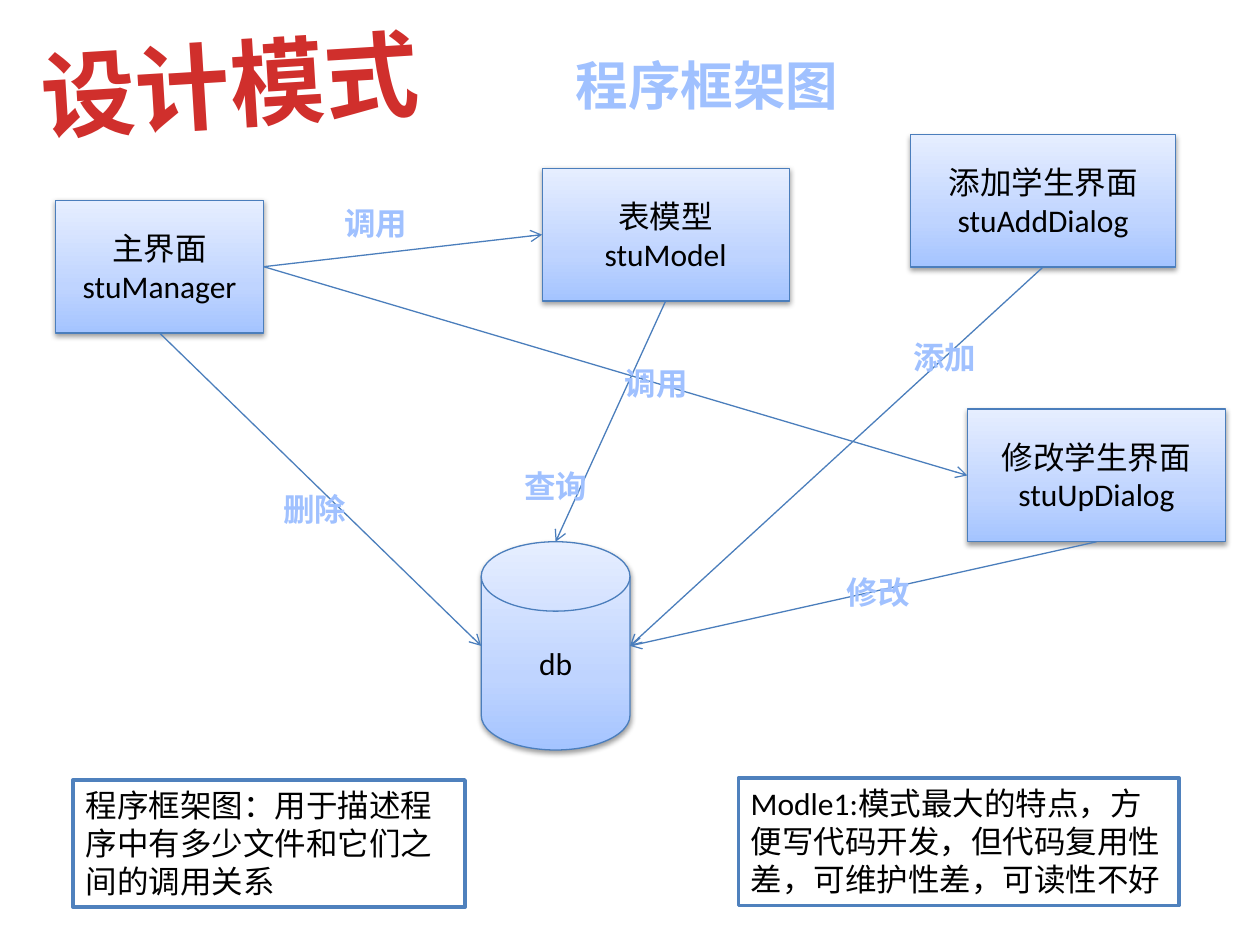
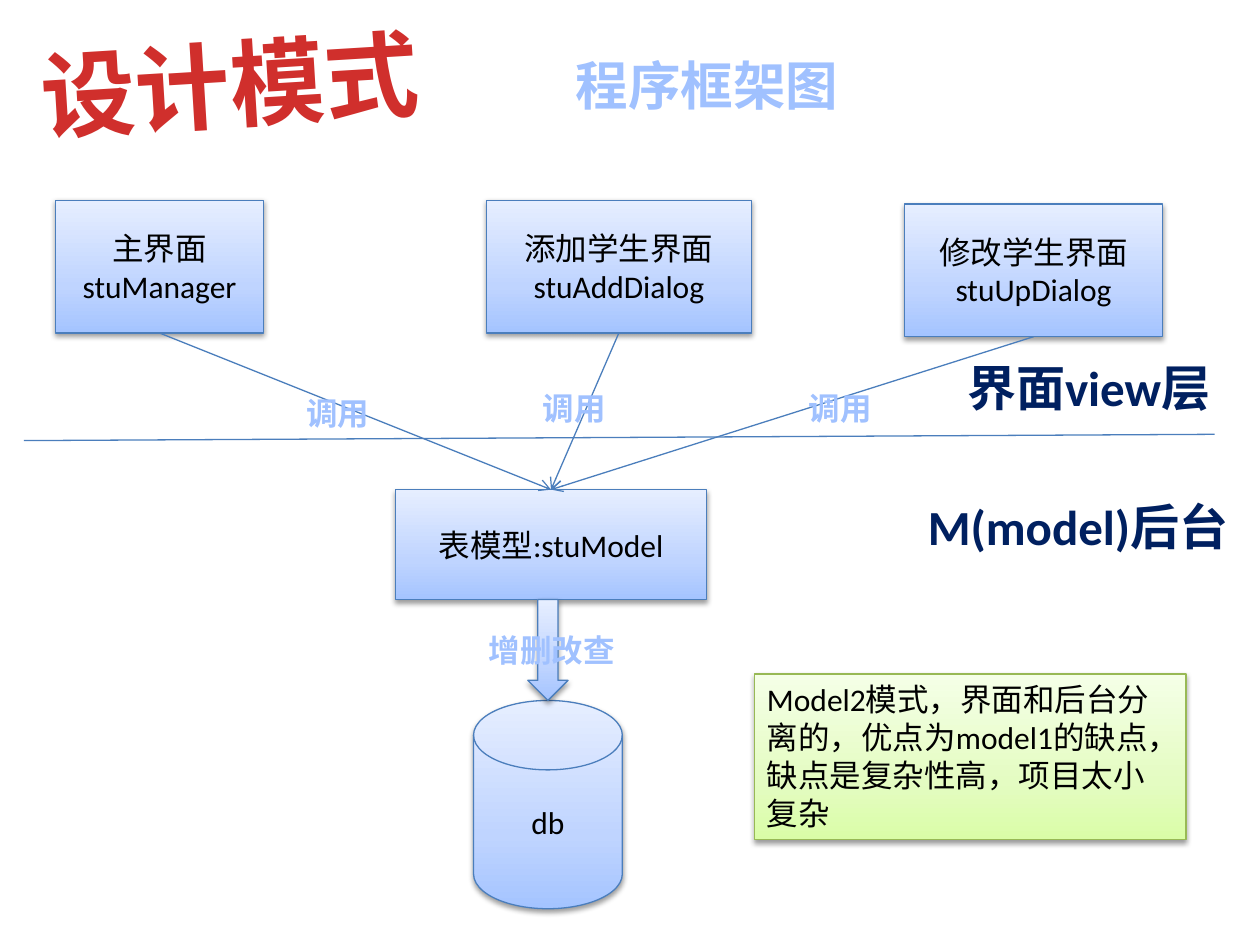
from dataclasses import dataclass

from lxml.etree import SubElement
from pptx import Presentation
from pptx.dml.color import RGBColor
from pptx.enum.shapes import MSO_CONNECTOR, MSO_SHAPE
from pptx.enum.text import MSO_ANCHOR, MSO_AUTO_SIZE, PP_ALIGN
from pptx.oxml.ns import qn
from pptx.util import Pt

FONT = "Calibri"
BLACK, WHITE, NAVY = "000000", "FFFFFF", "002060"
NODE_LINE, NOTE_LINE, GREEN_LINE = "4B7EBC", "4F81BD", "98B955"
LABEL_LINE, HALO = "467AB8", "FEFEFE"
BLUE_SHADES = [(0, "A4C4FF"), (35, "BFD4FF"), (100, "E6EEFF")]
GREEN_SHADES = [(0, "DAFDA7"), (35, "E4FCC2"), (100, "F5FFE7")]
LABEL_SHADES = [(0, "BFD3F9"), (9, "A0C1FF"), (50, "003D85"),
                (79, "A0C1FF"), (100, "BFD3F9")]
TITLE_SHADES = [(0, "FC7C7A"), (75, "D02F2C"), (100, "C70500")]
UPWARD, DOWNWARD = 270, 90
NODE_HEIGHT = 75.8
LABEL_WIDTH, LABEL_HEIGHT = 100.8, 29

Point = tuple[float, float]
Shades = list[tuple[int, str]]


@dataclass(frozen=True)
class Box:
    left: float
    top: float
    width: float
    height: float = NODE_HEIGHT

    @property
    def lengths(self) -> list[Pt]:
        return [Pt(v) for v in (self.left, self.top, self.width, self.height)]

    @property
    def top_mid(self) -> Point:
        return self.left + self.width / 2, self.top

    @property
    def bottom_mid(self) -> Point:
        return self.left + self.width / 2, self.top + self.height

    @property
    def left_mid(self) -> Point:
        return self.left, self.top + self.height / 2

    @property
    def right_mid(self) -> Point:
        return self.left + self.width, self.top + self.height / 2


@dataclass(frozen=True)
class Node:
    lines: tuple[str, ...]
    box: Box
    kind: MSO_SHAPE = MSO_SHAPE.RECTANGLE


@dataclass(frozen=True)
class Label:
    text: str
    left: float
    top: float


@dataclass(frozen=True)
class TextStyle:
    size: float
    color: str = BLACK
    shades: Shades | None = None
    bold: bool = False
    align: PP_ALIGN = PP_ALIGN.CENTER
    outline: str | None = None
    outline_width: float = 0.83


BODY = TextStyle(18)
NOTE = TextStyle(18, align=PP_ALIGN.LEFT)
LABEL = TextStyle(18, shades=LABEL_SHADES, bold=True, outline=LABEL_LINE)
SUBTITLE = TextStyle(30, shades=LABEL_SHADES, bold=True, outline=LABEL_LINE)
TITLE = TextStyle(54, shades=TITLE_SHADES, bold=True)
LAYER = TextStyle(28, NAVY, bold=True, outline=HALO, outline_width=1.5)


def rgb(color: str) -> RGBColor:
    return RGBColor.from_string(color)


def add_color(parent, color: str):
    return SubElement(parent, qn("a:srgbClr"), val=color)


def fill_gradient(fill, owner, shades: Shades, angle: int) -> None:
    fill.gradient()
    gradient = next(owner.iter(qn("a:gradFill")))
    for child in list(gradient):
        gradient.remove(child)
    stops = SubElement(gradient, qn("a:gsLst"))
    for position, color in shades:
        add_color(SubElement(stops, qn("a:gs"), pos=str(position * 1000)), color)
    SubElement(gradient, qn("a:lin"), ang=str(angle * 60000), scaled="0")


def write(frame, lines: tuple[str, ...], style: TextStyle) -> None:
    frame.word_wrap = True
    frame.text = "\n".join(lines)
    for paragraph in frame.paragraphs:
        paragraph.alignment = style.align
        font = paragraph.font
        font.name, font.size, font.bold = FONT, Pt(style.size), style.bold
        if style.shades:
            fill_gradient(font.fill, paragraph._p, style.shades, DOWNWARD)
        else:
            font.color.rgb = rgb(style.color)
        if style.outline:
            properties = next(paragraph._p.iter(qn("a:defRPr")))
            outline = SubElement(properties, qn("a:ln"),
                                 w=str(int(Pt(style.outline_width))))
            add_color(SubElement(outline, qn("a:solidFill")), style.outline)
            properties.insert(0, outline)


def add_text(slide, text: str, box: Box, style: TextStyle, rotation: float = 0) -> None:
    words = slide.shapes.add_textbox(*box.lengths)
    words.rotation = rotation
    write(words.text_frame, (text,), style)
    words.text_frame.auto_size = MSO_AUTO_SIZE.SHAPE_TO_FIT_TEXT


def add_panel(slide, box: Box, kind: MSO_SHAPE, line: str, line_width: float = 0.75,
              shades: Shades | None = None):
    panel = slide.shapes.add_shape(kind, *box.lengths)
    panel.line.color.rgb, panel.line.width = rgb(line), Pt(line_width)
    panel.shadow.inherit = False
    if shades is None:
        panel.fill.solid()
        panel.fill.fore_color.rgb = rgb(WHITE)
        return panel
    properties = panel._element.spPr
    fill_gradient(panel.fill, properties, shades, UPWARD)
    shadow = SubElement(properties.find(qn("a:effectLst")), qn("a:outerShdw"),
                        blurRad=str(int(Pt(3.1))), dist=str(int(Pt(1.6))),
                        dir="5400000", rotWithShape="0")
    SubElement(add_color(shadow, BLACK), qn("a:alpha"), val="38000")
    return panel


def add_node(slide, node: Node) -> None:
    panel = add_panel(slide, node.box, node.kind, NODE_LINE, shades=BLUE_SHADES)
    if node.lines:
        write(panel.text_frame, node.lines, BODY)
        panel.text_frame.vertical_anchor = MSO_ANCHOR.MIDDLE


def add_note(slide, text: str, box: Box, line: str, line_width: float,
             shades: Shades | None = None) -> None:
    panel = add_panel(slide, box, MSO_SHAPE.RECTANGLE, line, line_width, shades)
    write(panel.text_frame, (text,), NOTE)
    panel.text_frame.vertical_anchor = MSO_ANCHOR.TOP
    panel.text_frame.auto_size = MSO_AUTO_SIZE.SHAPE_TO_FIT_TEXT


def add_line(slide, start: Point, end: Point, arrow: bool = True) -> None:
    link = slide.shapes.add_connector(MSO_CONNECTOR.STRAIGHT,
                                      *(Pt(v) for v in (*start, *end)))
    link.line.color.rgb, link.line.width = rgb(NODE_LINE), Pt(0.75)
    properties = link._element.spPr
    if arrow:
        SubElement(properties.find(qn("a:ln")), qn("a:tailEnd"), type="arrow")
    SubElement(properties, qn("a:effectLst"))


def add_diagram(deck, nodes: list[Node], links: list[tuple[Point, Point]],
                labels: list[Label]):
    slide = deck.slides.add_slide(deck.slide_layouts[6])
    for node in nodes:
        add_node(slide, node)
    for start, end in links:
        add_line(slide, start, end)
    for label in labels:
        add_text(slide, label.text,
                 Box(label.left, label.top, LABEL_WIDTH, LABEL_HEIGHT), LABEL)
    add_text(slide, "程序框架图", Box(243.5, 26.5, 321, 44), SUBTITLE)
    add_text(slide, "设计模式", Box(14.4, 11.5, 234, 72.7), TITLE, rotation=-3.5)
    return slide


def database(left: float, top: float) -> Node:
    return Node(("db",), Box(left, top, 85, 119), MSO_SHAPE.FLOWCHART_MAGNETIC_DISK)


def add_window(left: float, top: float) -> Node:
    return Node(("添加学生界面", "stuAddDialog"), Box(left, top, 151.5))


def update_window(left: float, top: float) -> Node:
    return Node(("修改学生界面", "stuUpDialog"), Box(left, top, 147.5))


MAIN = Node(("主界面stuManager",), Box(31.7, 114.5, 119))


def build_model_one(deck) -> None:
    db = database(275, 309.6)
    table = Node(("表模型", "stuModel"), Box(309.8, 96.2, 141.2))
    adding, updating = add_window(520.3, 76.8), update_window(552.8, 233.8)
    links = [
        (MAIN.box.bottom_mid, db.box.left_mid),
        (table.box.bottom_mid, db.box.top_mid),
        (adding.box.bottom_mid, db.box.right_mid),
        (updating.box.bottom_mid, db.box.right_mid),
        (MAIN.box.right_mid, updating.box.left_mid),
        (MAIN.box.right_mid, table.box.left_mid),
    ]
    labels = [
        Label("删除", 129.6, 276.5), Label("查询", 267.1, 263.5),
        Label("调用", 324.7, 204.5), Label("添加", 489.6, 189.4),
        Label("修改", 451.4, 324), Label("调用", 164.2, 113),
    ]
    slide = add_diagram(deck, [db, MAIN, table, adding, updating], links, labels)
    add_note(slide, "程序框架图：用于描述程序中有多少文件和它们之间的调用关系",
             Box(41.8, 445.7, 224, 72.7), NOTE_LINE, 2)
    add_note(slide, "Modle1:模式最大的特点，方便写代码开发，但代码复用性差，可维护性差，可读性不好",
             Box(421.9, 444.7, 252, 72.7), NOTE_LINE, 2)


def build_model_two(deck) -> None:
    db = database(270.6, 400.3)
    table = Node(("表模型:stuModel",), Box(226.2, 279.8, 177.4, 62.8))
    adding, updating = add_window(277.9, 114.5), update_window(516.9, 116.6)
    flow = Node((), Box(301.6, 342.6, 23, 57.7), MSO_SHAPE.DOWN_ARROW)
    links = [(window.box.bottom_mid, table.box.top_mid)
             for window in (MAIN, adding, updating)]
    labels = [
        Label("调用", 142.6, 221.8), Label("调用", 277.9, 218.9),
        Label("调用", 429.8, 218.9), Label("增删改查", 265, 357.1),
    ]
    slide = add_diagram(deck, [db, MAIN, table, adding, updating, flow], links, labels)
    add_line(slide, (13.7, 251.8), (694.1, 248.2), arrow=False)
    add_text(slide, "界面view层", Box(544.3, 200.9, 155.5, 41), LAYER)
    add_text(slide, "M(model)后台", Box(522, 280.1, 187.9, 41), LAYER)
    add_note(slide, "Model2模式，界面和后台分离的，优点为model1的缺点，缺点是复杂性高，项目太小复杂",
             Box(431.2, 385.2, 246.5, 94.5), GREEN_LINE, 0.75, GREEN_SHADES)


def main() -> None:
    deck = Presentation()
    deck.slide_width, deck.slide_height = Pt(720), Pt(540)
    build_model_one(deck)
    build_model_two(deck)
    deck.save("out.pptx")


main()
